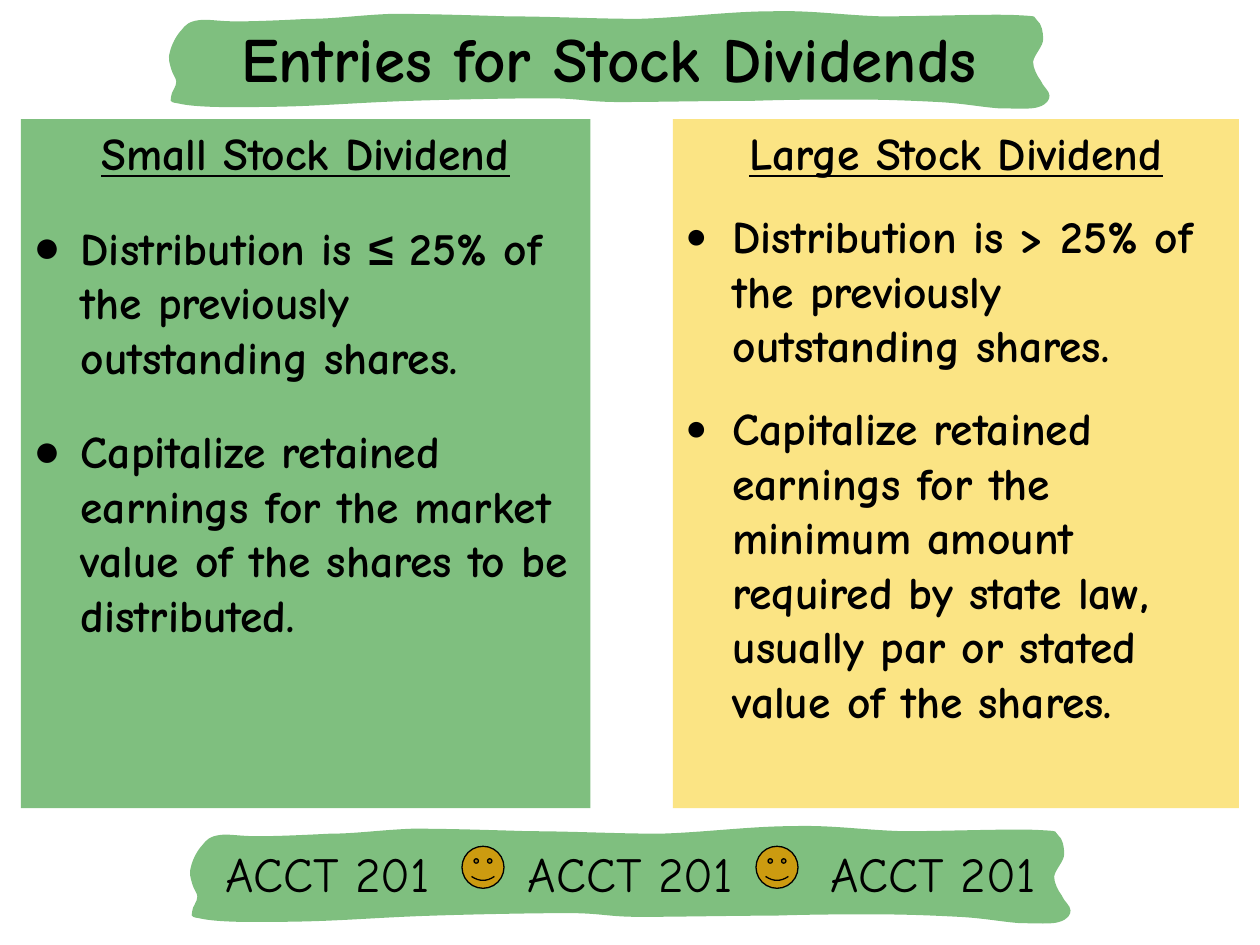
from lxml.etree import SubElement
from pptx import Presentation
from pptx.dml.color import RGBColor
from pptx.enum.shapes import MSO_SHAPE
from pptx.enum.text import MSO_ANCHOR, PP_ALIGN
from pptx.oxml.ns import qn
from pptx.util import Inches, Pt

FONT = "Comic Neue"
GREEN, YELLOW, GOLD, BLACK = "008000", "F8CB0A", "CC9B10", "000000"
CELL = Inches(10) / 60  # the slide is a grid of 60 columns by 45 rows
HANGING = Pt(27)

# Ribbon outline in inches: a start point, then curves of two handles and an end
RIBBON_START = (6.78, 0.79)
RIBBON_CURVES = [
    (6.53, 0.79, 6.29, 0.79, 5.98, 0.8), (5.67, 0.8, 5.19, 0.81, 4.92, 0.81),
    (4.65, 0.81, 4.61, 0.78, 4.34, 0.78), (4.06, 0.78, 3.58, 0.79, 3.27, 0.8),
    (2.95, 0.81, 2.68, 0.83, 2.44, 0.84), (2.2, 0.85, 1.99, 0.85, 1.82, 0.85),
    (1.64, 0.85, 1.49, 0.84, 1.41, 0.82), (1.33, 0.81, 1.36, 0.79, 1.36, 0.76),
    (1.36, 0.73, 1.4, 0.69, 1.4, 0.65), (1.4, 0.62, 1.37, 0.59, 1.36, 0.55),
    (1.35, 0.51, 1.33, 0.47, 1.35, 0.41), (1.36, 0.36, 1.4, 0.28, 1.44, 0.24),
    (1.47, 0.2, 1.5, 0.17, 1.58, 0.16), (1.65, 0.15, 1.73, 0.17, 1.88, 0.17),
    (2.03, 0.17, 2.25, 0.16, 2.45, 0.15), (2.66, 0.15, 2.85, 0.12, 3.11, 0.11),
    (3.38, 0.11, 3.7, 0.12, 4.03, 0.13), (4.36, 0.13, 4.73, 0.15, 5.07, 0.15),
    (5.42, 0.14, 5.8, 0.09, 6.12, 0.09), (6.44, 0.08, 6.67, 0.12, 7, 0.13),
    (7.32, 0.13, 7.86, 0.11, 8.06, 0.12), (8.27, 0.13, 8.19, 0.13, 8.23, 0.16),
    (8.27, 0.19, 8.28, 0.26, 8.28, 0.31), (8.28, 0.37, 8.21, 0.43, 8.2, 0.49),
    (8.2, 0.54, 8.23, 0.6, 8.26, 0.64), (8.28, 0.69, 8.33, 0.72, 8.33, 0.76),
    (8.33, 0.79, 8.31, 0.83, 8.24, 0.85), (8.18, 0.87, 8.06, 0.86, 7.93, 0.86),
    (7.79, 0.85, 7.64, 0.82, 7.45, 0.81), (7.26, 0.8, 7.03, 0.79, 6.78, 0.79),
]


def paint(shape, color, opacity=100):
    """Flat fill without outline or shadow."""
    shape.shadow.inherit = False
    shape.fill.solid()
    shape.fill.fore_color.rgb = RGBColor.from_string(color)
    shape.line.fill.background()
    if opacity < 100:
        color_element = shape.fill._xPr.find(".//" + qn("a:srgbClr"))
        SubElement(color_element, qn("a:alpha"), val=str(opacity * 1000))


def write(paragraph, text, size, bold=False, underline=False, font=FONT):
    run = paragraph.add_run()
    run.text = text
    run.font.name = font
    run.font.size = Pt(size)
    run.font.bold = bold
    run.font.underline = underline
    run.font.color.rgb = RGBColor.from_string(BLACK)


presentation = Presentation()
presentation.slide_width, presentation.slide_height = Inches(10), Inches(7.5)
slide = presentation.slides.add_slide(presentation.slide_layouts[6])

# Ribbons at top and bottom: the same outline, each with a line of text
outline = [RIBBON_START]
for curve in RIBBON_CURVES:
    outline.extend(zip(curve[::2], curve[1::2]))

groups, frames = [], []
for column, row in ((0, 0), (1, 38.8)):
    group = slide.shapes.add_group_shape()
    points = [(Inches(x) + column * CELL, Inches(y) + row * CELL) for x, y in outline]
    builder = group.shapes.build_freeform(*points[0])
    builder.add_line_segments(points[1:], close=True)
    ribbon = builder.convert_to_shape()
    paint(ribbon, GREEN, 50)
    # Join each three straight pieces into one curve
    pieces = list(ribbon._element.iter(qn("a:lnTo")))
    for first, second, third in zip(pieces[::3], pieces[1::3], pieces[2::3]):
        first.tag = qn("a:cubicBezTo")
        for piece in (second, third):
            first.append(piece[0])
            piece.getparent().remove(piece)
    box = group.shapes.add_textbox(
        int((9 + column) * CELL), int((1 + row) * CELL), int(40 * CELL), int(3.5 * CELL))
    box.text_frame.word_wrap = True
    box.text_frame.vertical_anchor = MSO_ANCHOR.MIDDLE
    groups.append(group)
    frames.append(box.text_frame)

# Title
title, footer = [frame.paragraphs[0] for frame in frames]
title.alignment = PP_ALIGN.CENTER
write(title, "Entries for Stock Dividends", 36, bold=True)

# Footer: the course name three times at even tab stops, faces in the gaps
frames[1].margin_left = Inches(0.12)
footer.alignment = PP_ALIGN.LEFT
tab_list = SubElement(footer._p.get_or_add_pPr(), qn("a:tabLst"))
for stop in (1, 2):
    SubElement(tab_list, qn("a:tab"), pos=str(Pt(173 * stop)), algn="l")
write(footer, "\t".join(["ACCT 201"] * 3), 28)
for column in (22, 36):
    face = groups[1].shapes.add_shape(
        MSO_SHAPE.SMILEY_FACE, int(column * CELL), int(40.3 * CELL), int(2 * CELL), int(2 * CELL))
    paint(face, GOLD)
    face.line.color.rgb = RGBColor.from_string(BLACK)
    face.line.width = Pt(0.75)

# Panels: left column, width, fill, gap before, bullet size, heading, points
panels = [
    (1, 27.12, GREEN, 22.8, 100, "Small Stock Dividend", [
        [("Distribution is ", FONT), ("≤", "Arial"),
         (" 25% of the previously outstanding shares.", FONT)],
        [("Capitalize retained earnings for the market value of the shares "
          "to be distributed.", FONT)],
    ]),
    (32.04, 26.96, YELLOW, 16.2, 80, "Large Stock Dividend", [
        [("Distribution is > 25% of the previously outstanding shares.", FONT)],
        [("Capitalize retained earnings for the minimum amount required by state law, "
          "usually par or stated value of the shares.", FONT)],
    ]),
]
for column, width, color, gap, bullet_size, heading, points in panels:
    panel = slide.shapes.add_shape(
        MSO_SHAPE.RECTANGLE, int(column * CELL), int(5.67 * CELL),
        int(width * CELL), int(32.82 * CELL))
    paint(panel, color, 50)
    frame = panel.text_frame
    frame.word_wrap = True
    frame.vertical_anchor = MSO_ANCHOR.TOP
    frame.paragraphs[0].alignment = PP_ALIGN.CENTER
    write(frame.paragraphs[0], heading, 26, bold=True, underline=True)
    for point in points:
        paragraph = frame.add_paragraph()
        properties = paragraph._p.get_or_add_pPr()
        properties.set("marL", str(HANGING))
        properties.set("indent", str(-HANGING))
        bullet_color = SubElement(properties, qn("a:buClr"))
        SubElement(bullet_color, qn("a:srgbClr"), val=BLACK)
        SubElement(properties, qn("a:buSzPct"), val=str(bullet_size * 1000))
        SubElement(properties, qn("a:buFont"), typeface="Arial")
        SubElement(properties, qn("a:buChar"), char="●")
        paragraph.alignment = PP_ALIGN.LEFT
        paragraph.space_before = Pt(gap)
        for text, font in point:
            write(paragraph, text, 26, bold=True, font=font)

presentation.save("out.pptx")
